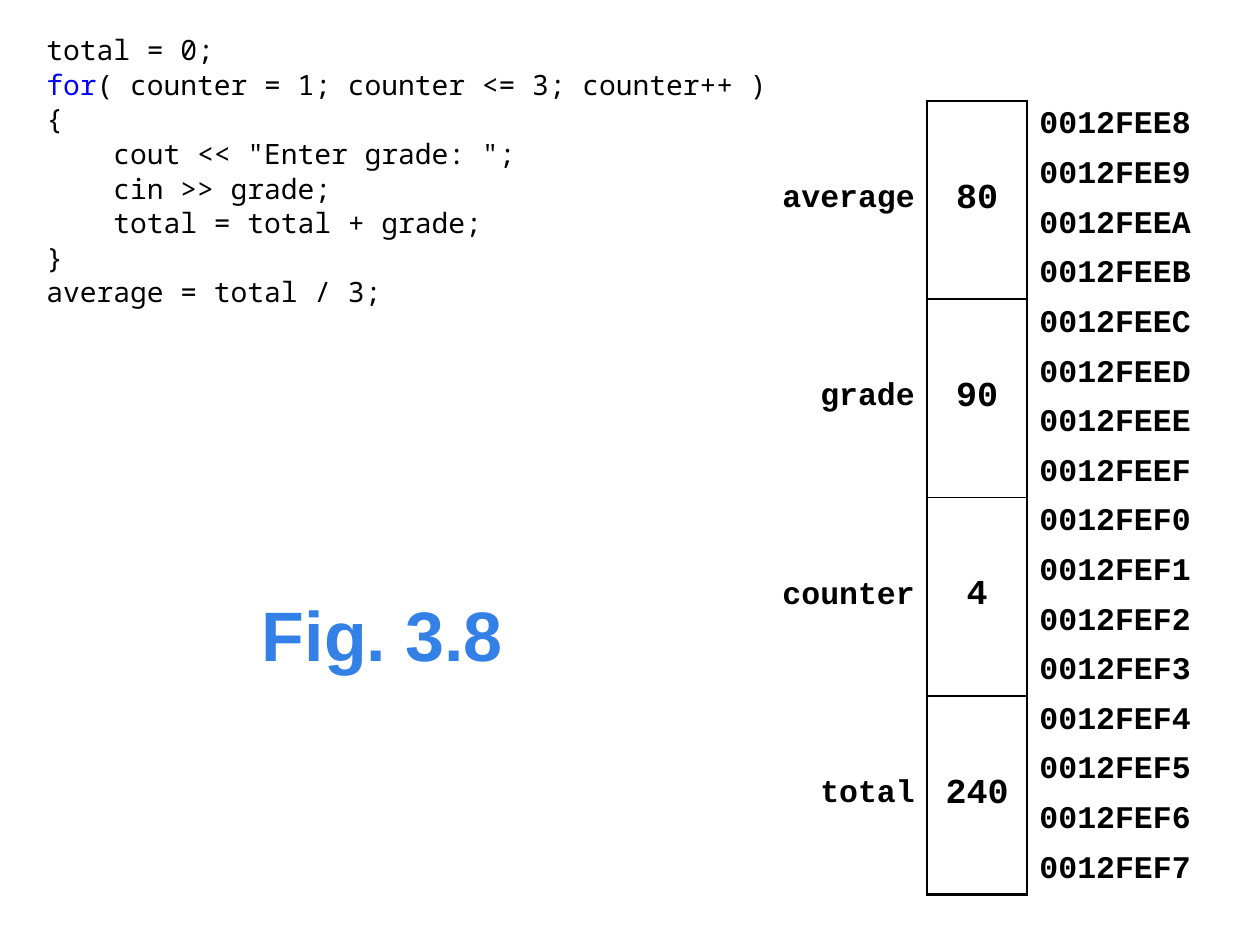
from dataclasses import dataclass

import lxml.etree
import pptx
import pptx.dml.color
import pptx.enum.text
import pptx.oxml.ns
import pptx.util

Inches = pptx.util.Inches
Pt = pptx.util.Pt
ALIGN = pptx.enum.text.PP_ALIGN
ANCHOR = pptx.enum.text.MSO_ANCHOR
qn = pptx.oxml.ns.qn

COLORS = {"ink": "000000", "keyword": "0000FF", "figure": "3380E6"}
FIGURE_FONT = {"name": "Arial", "size": Pt(40), "bold": True}
CODE_FONT = {"name": "Noto Sans Mono", "size": Pt(16)}
LABEL_FONT = {"name": "Courier New", "size": Pt(18), "bold": True}
VALUE_FONT = {**LABEL_FONT, "size": Pt(20)}

BYTES_PER_VARIABLE = 4
FIRST_ADDRESS = 0x0012FEE8
NO_GRID_STYLE = "{2D5ABB26-0587-4C30-8999-92F81FD0307C}"
OUTER, INNER = 1.5, 1


@dataclass
class Variable:
    name: str
    value: str


@dataclass
class CellFormat:
    font: dict
    align: ALIGN
    side: float
    top: float
    bottom: float


VARIABLES = [
    Variable("average", "80"),
    Variable("grade", "90"),
    Variable("counter", "4"),
    Variable("total", "240"),
]
LABEL = CellFormat(LABEL_FONT, ALIGN.RIGHT, 0.1, 0, 0.02)
VALUE = CellFormat(VALUE_FONT, ALIGN.CENTER, 0.08, 0, 0.02)
ADDRESS = CellFormat(LABEL_FONT, ALIGN.LEFT, 0.1, 0.04, 0.04)

CODE = [
    [("total = 0;", "ink")],
    [("for", "keyword"), ("( counter = 1; counter <= 3; counter++ )", "ink")],
    [("{", "ink")],
    [('    cout << "Enter grade: ";', "ink")],
    [("    cin >> grade;", "ink")],
    [("    total = total + grade;", "ink")],
    [("}", "ink")],
    [("average = total / 3;", "ink")],
]


def set_all(target, values: dict) -> None:
    for attribute, value in values.items():
        setattr(target, attribute, value)


def add_text(paragraph, text: str, font: dict, color: str) -> None:
    run = paragraph.add_run()
    run.text = text
    set_all(run.font, font)
    run.font.color.rgb = pptx.dml.color.RGBColor.from_string(COLORS[color])


def add_frame(slide, left: float, top: float, width: float, height: float, anchor: ANCHOR):
    box = slide.shapes.add_textbox(Inches(left), Inches(top), Inches(width), Inches(height))
    set_all(box.text_frame, {"word_wrap": True, "vertical_anchor": anchor})
    return box.text_frame


def draw_figure_title(slide) -> None:
    title = add_frame(slide, 1.46, 4.54, 3.15, 0.98, ANCHOR.MIDDLE).paragraphs[0]
    title.alignment = ALIGN.CENTER
    add_text(title, "Fig. 3.8", FIGURE_FONT, "figure")


def draw_code(slide) -> None:
    listing = add_frame(slide, 0.27, 0.21, 6.69, 2.95, ANCHOR.TOP)
    for index, line in enumerate(CODE):
        paragraph = listing.add_paragraph() if index else listing.paragraphs[0]
        paragraph.space_before = Pt(0.6 if index else 0)
        properties = paragraph._p.get_or_add_pPr()
        properties.set("marL", str(Inches(0.69)))
        properties.set("indent", str(-Inches(0.69)))
        for text, color in line:
            add_text(paragraph, text, CODE_FONT, color)


def format_cell(cell, style: CellFormat) -> None:
    set_all(cell, {
        "margin_left": Inches(style.side),
        "margin_right": Inches(style.side),
        "margin_top": Inches(style.top),
        "margin_bottom": Inches(style.bottom),
        "vertical_anchor": ANCHOR.MIDDLE,
    })
    cell.fill.background()


def write_cell(cell, text: str, style: CellFormat) -> None:
    paragraph = cell.text_frame.paragraphs[0]
    paragraph.alignment = style.align
    add_text(paragraph, text, style.font, "ink")


def set_borders(cell, widths: dict) -> None:
    properties = cell._tc.get_or_add_tcPr()
    sides = [side for side in "LRTB" if side in widths]
    for position, side in enumerate(sides):
        line = lxml.etree.Element(qn(f"a:ln{side}"), w=str(Pt(widths[side])))
        fill = lxml.etree.SubElement(line, qn("a:solidFill"))
        lxml.etree.SubElement(fill, qn("a:srgbClr"), val=COLORS["ink"])
        properties.insert(position, line)


def draw_memory(slide) -> None:
    row_count = len(VARIABLES) * BYTES_PER_VARIABLE
    frame = slide.shapes.add_table(
        row_count, 3, Inches(5.98), Inches(0.8), Inches(3.74), Inches(6.3))
    memory = frame.table
    set_all(memory, {"first_row": False, "horz_banding": False})
    memory._tbl.tblPr.find(qn("a:tableStyleId")).text = NO_GRID_STYLE
    for column, width in zip(memory.columns, (1.38, 0.79, 1.57)):
        column.width = Inches(width)

    for row in range(row_count):
        for column, style in enumerate((LABEL, VALUE, ADDRESS)):
            format_cell(memory.cell(row, column), style)
        write_cell(memory.cell(row, 2), f"{FIRST_ADDRESS + row:08X}", ADDRESS)
        variable_row = row % BYTES_PER_VARIABLE
        widths = {"L": OUTER, "R": OUTER}
        if variable_row == 0:
            widths["T"] = INNER if row else OUTER
        if variable_row in (0, BYTES_PER_VARIABLE - 1):
            in_last = row >= row_count - BYTES_PER_VARIABLE
            widths["B"] = OUTER if in_last else INNER
        set_borders(memory.cell(row, 0), {"R": OUTER})
        set_borders(memory.cell(row, 1), widths)
        set_borders(memory.cell(row, 2), {"L": OUTER})

    for index, variable in enumerate(VARIABLES):
        first = index * BYTES_PER_VARIABLE
        last = first + BYTES_PER_VARIABLE - 1
        for column, text, style in ((0, variable.name, LABEL), (1, variable.value, VALUE)):
            memory.cell(first, column).merge(memory.cell(last, column))
            write_cell(memory.cell(first, column), text, style)


def main() -> None:
    presentation = pptx.Presentation()
    set_all(presentation, {"slide_width": Inches(10), "slide_height": Inches(7.5)})
    slide = presentation.slides.add_slide(presentation.slide_layouts[6])
    draw_figure_title(slide)
    draw_code(slide)
    draw_memory(slide)
    presentation.save("out.pptx")


if __name__ == "__main__":
    main()
